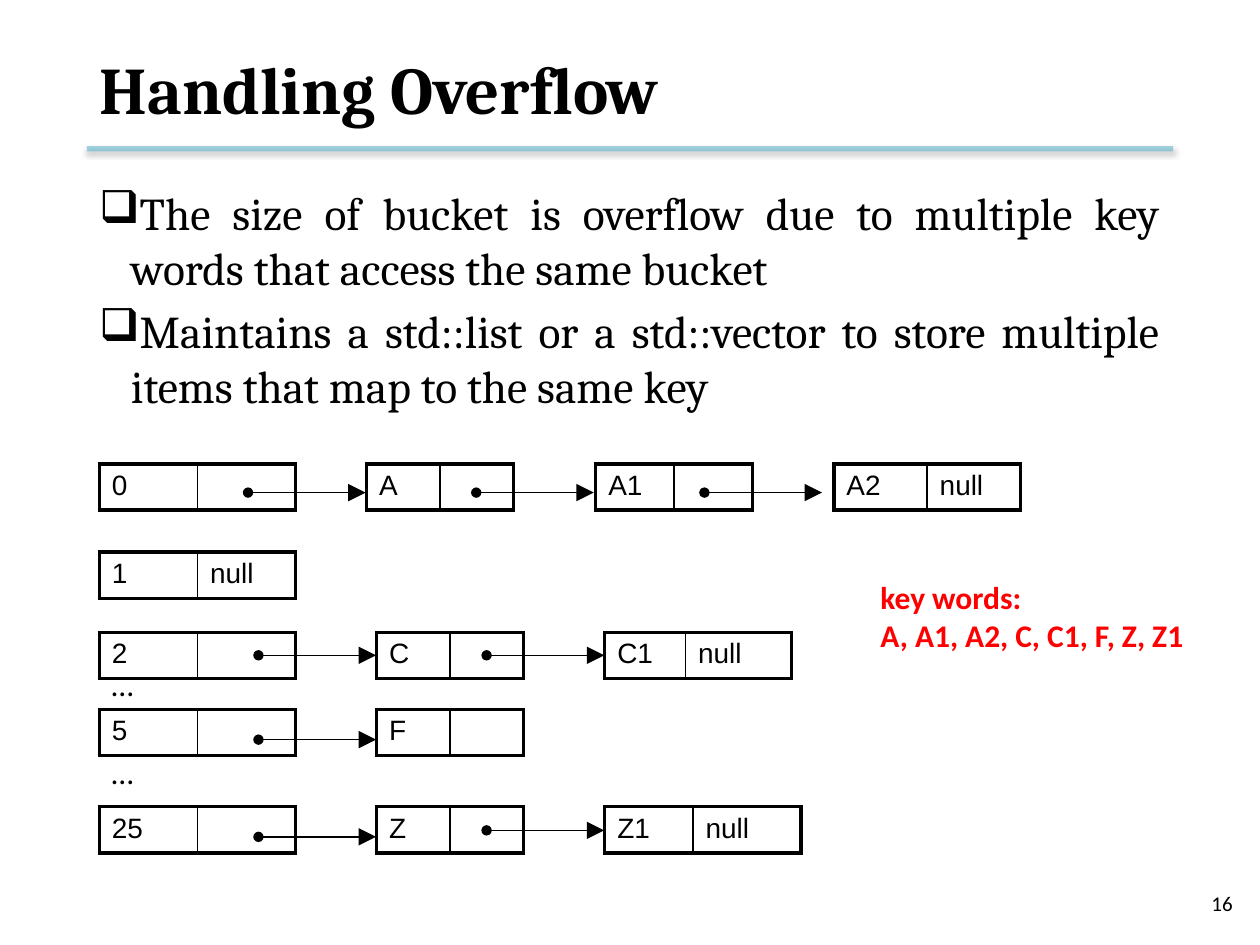
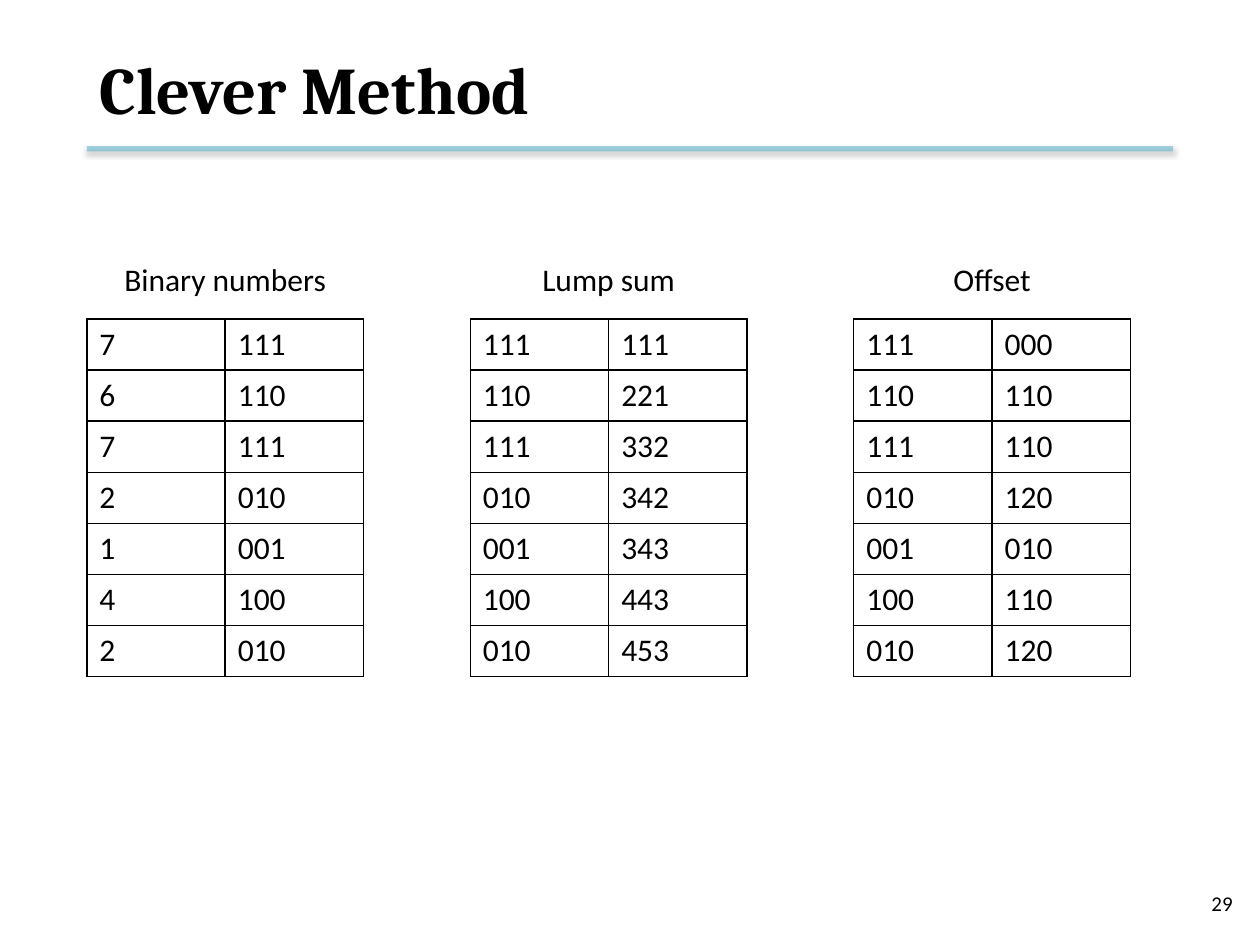
"""Build two slides on hash-table overflow and the clever radix method."""
from dataclasses import dataclass

from lxml.etree import SubElement
from pptx import Presentation
from pptx.dml.color import RGBColor
from pptx.enum.shapes import MSO_CONNECTOR as Link
from pptx.enum.text import MSO_ANCHOR as Anchor, MSO_AUTO_SIZE as AutoSize, PP_ALIGN as Align
from pptx.oxml.ns import qn
from pptx.util import Cm, Pt


@dataclass(frozen=True)
class Theme:
    """Colours, fonts and type sizes shared by the slides."""
    ink: str = "000000"
    accent: str = "4BACC6"
    alert: str = "FF0000"
    serif: str = "Cambria"
    sans: str = "Calibri"
    cell: str = "Arial"
    title: int = 38
    body: int = 26
    text: int = 18
    node: int = 16
    number: int = 12


THEME = Theme()
LEFT, WIDTH = 1.75, 21.9

OVERFLOW = {
    "title": "Handling Overflow",
    "number": "16",
    "bullets": [
        "The size of bucket is overflow due to multiple key words that access the same bucket",
        "Maintains a std::list or a std::vector to store multiple items that map to the same key",
    ],
    "key words": ["key words:", "A, A1, A2, C, C1, F, Z, Z1"],
}
BUCKET_LEFT, BUCKET_CELL = 2.0, 1.98
NODE_HEIGHT = 0.88
ARROW_STEP, ARROW_LENGTH = 4.6, 2.37
# Each chain: top, bucket, bucket text, nodes (label, text, left, cell widths), arrow start, arrow heights.
CHAINS = [
    (9.35, "0", "", [("A", "", 7.39, 1.48, 1.48), ("A1", "", 12.01, 1.58, 1.58),
                     ("A2", "null", 16.81, 1.88, 1.88)], 5.0, [9.93, 9.93, 9.93]),
    (11.13, "1", "null", [], 0, []),
    (12.75, "2", "", [("C", "", 7.59, 1.48, 1.48), ("C1", "null", 12.19, 1.63, 2.13)],
     5.21, [13.21, 13.21]),
    (14.3, "5", "", [("F", "", 7.59, 1.48, 1.48)], 5.21, [14.91]),
    (16.26, "25", "", [("Z", "", 7.59, 1.48, 1.48), ("Z1", "null", 12.19, 1.78, 2.18)],
     5.21, [16.87, 16.74]),
]
GAP_TOPS = [13.28, 15.06]

CLEVER = {"title": "Clever Method", "number": "29"}
DECIMALS = ["7", "6", "7", "2", "1", "4", "2"]
BINARIES = ["111", "110", "111", "010", "001", "100", "010"]
SUMS = ["111", "221", "332", "342", "343", "443", "453"]
OFFSETS = ["000", "110", "110", "120", "010", "110", "120"]
COLUMNS = [
    ("Binary numbers", DECIMALS, BINARIES),
    ("Lump sum", BINARIES, SUMS),
    ("Offset", BINARIES, OFFSETS),
]
COLUMN_STEP, COLUMN_CELL, ROW_HEIGHT = 7.73, 2.79, 1.03


def write(frame, lines, size, font=THEME.sans, colour=THEME.ink, bold=False, align=Align.LEFT):
    """Fill a text frame and format every run alike."""
    frame.text = "\n".join(lines)
    for para in frame.paragraphs:
        para.alignment = align
        for span in para.runs:
            span.font.size, span.font.name, span.font.bold = Pt(size), font, bold
            span.font.color.rgb = RGBColor.from_string(colour)
        if not para.runs:
            SubElement(para._p, qn("a:endParaRPr"), sz=str(size * 100))


def add_text(page, place, lines, size, anchor=Anchor.TOP, **style):
    """Add a wrapped text box and return its frame."""
    frame = page.shapes.add_textbox(*map(Cm, place)).text_frame
    frame.word_wrap = True
    frame.vertical_anchor = anchor
    write(frame, lines, size, **style)
    return frame


def add_line(page, start, end, colour, weight):
    """Add a straight connector; return it with its empty effect list."""
    line = page.shapes.add_connector(Link.STRAIGHT, *map(Cm, start + end))
    line.line.color.rgb = RGBColor.from_string(colour)
    line.line.width = Pt(weight)
    effects = SubElement(line._element.spPr, qn("a:effectLst"))
    return line, effects


def add_rule(page):
    """Draw the translucent, shadowed rule below the title."""
    rule, effects = add_line(page, (LEFT, 3.0), (LEFT + WIDTH, 3.0), THEME.accent, 3)
    colour = rule.line._ln.find(qn("a:solidFill"))[0]
    SubElement(colour, qn("a:alpha"), val="50000")
    shadow = SubElement(effects, qn("a:outerShdw"), blurRad=str(Pt(3.1)), dist=str(Pt(1.6)),
                        dir="5400000", rotWithShape="0")
    tone = SubElement(shadow, qn("a:srgbClr"), val=THEME.ink)
    SubElement(tone, qn("a:alpha"), val="38000")


def add_arrow(page, left, top):
    """Draw a pointer with a dot at its start and a triangle at its end."""
    arrow, _ = add_line(page, (left, top), (left + ARROW_LENGTH, top), THEME.ink, 0.75)
    SubElement(arrow.line._ln, qn("a:headEnd"), type="oval")
    SubElement(arrow.line._ln, qn("a:tailEnd"), type="triangle", w="lg", len="lg")


def set_borders(cell, weights):
    """Give a cell its left, right, top and bottom borders."""
    props = cell._tc.get_or_add_tcPr()
    for side, weight in zip("LRTB", weights):
        border = SubElement(props, qn(f"a:ln{side}"), w=str(Pt(weight)))
        fill = SubElement(border, qn("a:solidFill"))
        SubElement(fill, qn("a:srgbClr"), val=THEME.ink)


def add_grid(page, left, top, widths, height, rows, size, font, outer):
    """Add an unfilled table whose outer border may be heavier than the inner one."""
    place = (left, top, sum(widths), height * len(rows))
    table = page.shapes.add_table(len(rows), len(widths), *map(Cm, place)).table
    table.first_row = table.horz_banding = False
    for column, width in zip(table.columns, widths):
        column.width = Cm(width)
    last_row, last_column = len(rows) - 1, len(widths) - 1
    for r, row in enumerate(rows):
        table.rows[r].height = Cm(height)
        for c, value in enumerate(row):
            cell = table.cell(r, c)
            write(cell.text_frame, [value], size, font=font)
            edges = (c == 0, c == last_column, r == 0, r == last_row)
            set_borders(cell, [outer if edge else 1 for edge in edges])
            cell.fill.background()


def add_page(deck, content):
    """Add a slide with the shared rule, number and title."""
    page = deck.slides.add_slide(deck.slide_layouts[5])
    add_rule(page)
    add_text(page, (19.18, 17.7, 5.92, 1.01), [content["number"]], THEME.number,
             anchor=Anchor.MIDDLE, align=Align.RIGHT)
    title = page.shapes.title
    title.left, title.top, title.width, title.height = map(Cm, (LEFT, 0.43, WIDTH, 2.7))
    title.text_frame.auto_size = AutoSize.NONE
    title.text_frame.vertical_anchor = Anchor.MIDDLE
    write(title.text_frame, [content["title"]], THEME.title, font=THEME.serif, bold=True)
    return page


def add_bullets(page, lines):
    """Add the justified list with box bullets."""
    frame = add_text(page, (LEFT, 3.61, WIDTH, 12.95), lines, THEME.body,
                     font=THEME.serif, align=Align.JUSTIFY)
    for index, para in enumerate(frame.paragraphs):
        para.space_before = Pt(5.2 if index else 0)
        props = para._p.get_or_add_pPr()
        props.set("marL", str(Cm(0.64)))
        props.set("indent", str(Cm(-1.14)))
        SubElement(props, qn("a:buChar"), char="❑")


def add_node(page, left, top, widths, texts):
    """Add a two-cell list node."""
    add_grid(page, left, top, widths, NODE_HEIGHT, [texts], THEME.node, THEME.cell, 2.25)


def build_overflow(deck):
    """Show the buckets and the chains that hang off them."""
    page = add_page(deck, OVERFLOW)
    add_bullets(page, OVERFLOW["bullets"])
    for top, bucket, content, nodes, start, heights in CHAINS:
        add_node(page, BUCKET_LEFT, top, (BUCKET_CELL, BUCKET_CELL), (bucket, content))
        for label, text, left, *widths in nodes:
            add_node(page, left, top, widths, (label, text))
        for index, height in enumerate(heights):
            add_arrow(page, start + index * ARROW_STEP, height)
    for top in GAP_TOPS:
        add_text(page, (BUCKET_LEFT, top, 2.57, 1.02), ["…"], THEME.text)
    add_text(page, (17.5, 11.53, 8.74, 1.8), OVERFLOW["key words"], THEME.text,
             colour=THEME.alert, bold=True)


def build_clever(deck):
    """Show the three captioned number tables side by side."""
    page = add_page(deck, CLEVER)
    for index, (caption, first, second) in enumerate(COLUMNS):
        left = LEFT + index * COLUMN_STEP
        add_text(page, (left, 5.11, 2 * COLUMN_CELL, 1.02), [caption], THEME.text,
                 align=Align.CENTER)
        add_grid(page, left, 6.43, (COLUMN_CELL, COLUMN_CELL), ROW_HEIGHT,
                 list(zip(first, second)), THEME.text, THEME.sans, 1)


def main():
    """Build and save the deck."""
    deck = Presentation()
    deck.slide_width, deck.slide_height = Cm(25.4), Cm(19.05)
    build_overflow(deck)
    build_clever(deck)
    deck.save("out.pptx")


if __name__ == "__main__":
    main()
